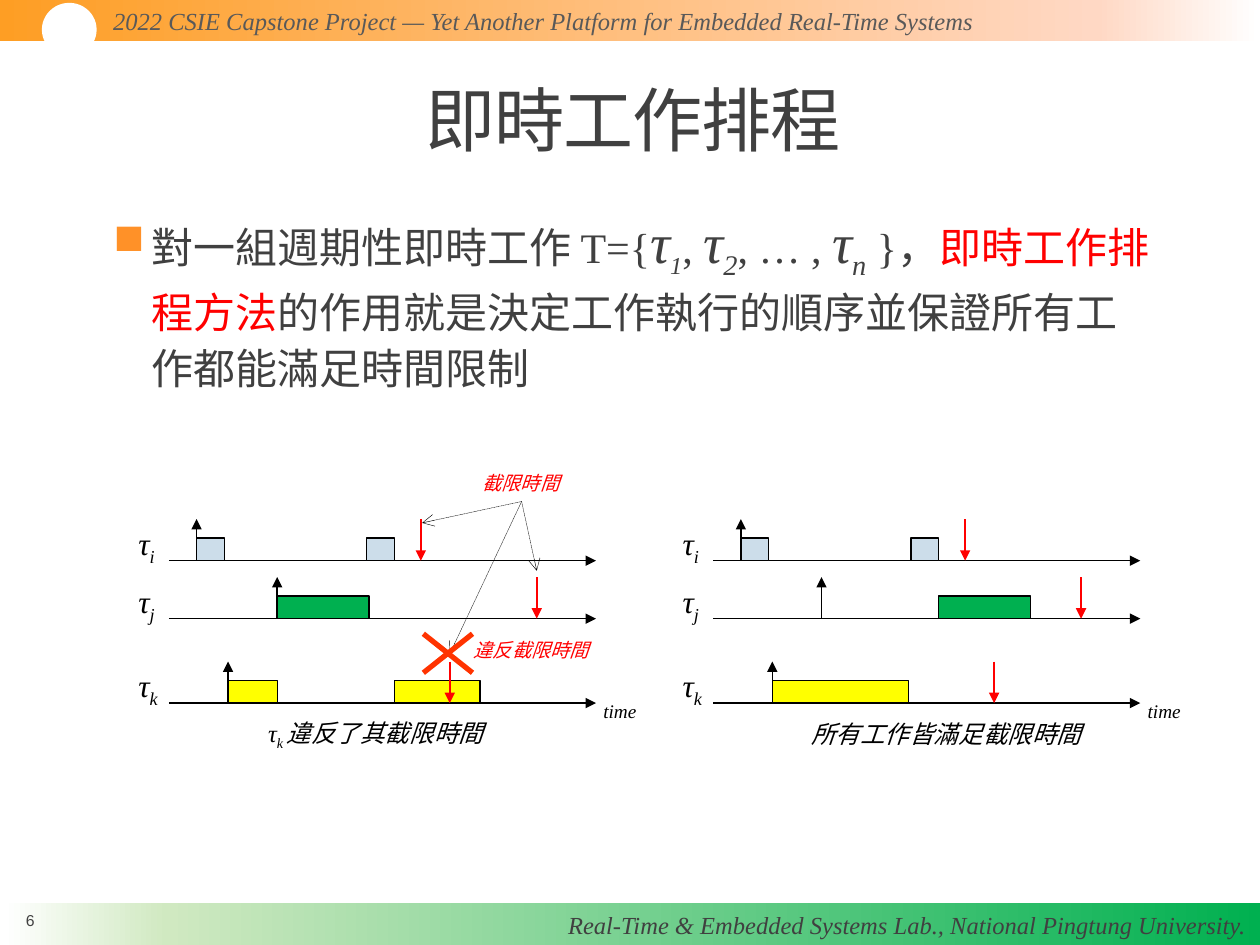
"""Build the slide on real-time task scheduling."""
from pptx import Presentation
from pptx.dml.color import RGBColor
from pptx.enum.dml import MSO_LINE
from pptx.enum.shapes import MSO_CONNECTOR, MSO_SHAPE as SHAPE
from pptx.enum.text import MSO_ANCHOR as ANCHOR, PP_ALIGN as ALIGN
from pptx.oxml.ns import qn
from pptx.util import Inches, Pt
from lxml.etree import SubElement

W, H = 10, 7.5
SERIF, CJK = "Times New Roman", "Noto Sans CJK SC"
BLACK, GREY, RED, WHITE = "000000", "404040", "FF0000", "FFFFFF"
BLUE, GREEN, YELLOW = "CCDDEA", "00B050", "FFFF00"

BANDS = [
    (0.03, 7.17, 9.97, [(0, WHITE), (13, "D0E9C1"), (100, GREEN)]),
    (0, 0, 10, [(0, "FE9E24"), (87, "FFD8C4"), (100, WHITE)]),
]
HEADER = "2022 CSIE Capstone Project — Yet Another Platform for Embedded Real-Time Systems"
FOOTER = "Real-Time & Embedded Systems Lab., National Pingtung University."
TAU = ("τ", dict(size=32, italic=True))
BODY = [
    ("對一組週期性即時工作 T={", {}),
    TAU, ("1", dict(italic=True, sub=True)), (", ", {}),
    TAU, ("2", dict(size=28, italic=True, sub=True)), (", … , ", {}),
    TAU, ("n", dict(size=28, italic=True, sub=True)), (" }，", {}),
    ("即時工作排程方法", dict(color=RED)),
    ("的作用就是決定工作執行的順序並保證所有工作都能滿足時間限制", {}),
]

# name, axis height, bar colour, release, deadline
TASKS = [
    ("i", 4.45, BLUE, 0.22, 2.0),
    ("j", 4.91, GREEN, 0.86, 2.92),
    ("k", 5.58, YELLOW, 0.47, 2.23),
]
# axis start, then (offset, width) of each task's bars
CHARTS = [
    (1.34, dict(i=[(0.22, 0.22), (1.57, 0.22)], j=[(0.86, 0.73)],
                k=[(0.47, 0.39), (1.79, 0.68)])),
    (5.66, dict(i=[(0.22, 0.22), (1.57, 0.22)], j=[(1.79, 0.73)],
                k=[(0.47, 1.08)])),
]
AXIS, BAR, ARROW = 3.39, 0.18, 0.33
NOTES = [
    ("截限時間", 3.73, 3.69, 0.82, 11, RED),
    ("違反截限時間", 3.66, 5.02, 1.13, 11, RED),
    ("所有工作皆滿足截限時間", 6.34, 5.66, 2.36, 14, BLACK),
]
CAPTION = [("τ", {}), ("k ", dict(sub=True)), ("違反了其截限時間", {})]
POINTER, TARGETS = (4.14, 3.98), [(3.35, 4.15), (4.26, 4.53), (3.57, 5.19)]
CROSS = (3.36, 5.03, 3.75, 5.34)


def rgb(value):
    return RGBColor.from_string(value)


def add_run(p, text, size=24, color=GREY, font=SERIF, italic=False, sub=False):
    r = p.add_run()
    r.text = text
    r.font.size, r.font.name, r.font.italic = Pt(size), font, italic
    r.font.color.rgb = rgb(color)
    rPr = r._r.get_or_add_rPr()
    SubElement(rPr, qn("a:ea")).set("typeface", CJK)
    if sub:
        rPr.set("baseline", "-25000")
    return r


def add_text(s, parts, x, y, w, h, align=ALIGN.LEFT, anchor=ANCHOR.TOP, **fmt):
    """Add a text box; parts is a string or a list of (text, format) pairs."""
    tf = s.shapes.add_textbox(*map(Inches, (x, y, w, h))).text_frame
    tf.word_wrap, tf.vertical_anchor = True, anchor
    p = tf.paragraphs[0]
    p.alignment = align
    for text, extra in [(parts, {})] if isinstance(parts, str) else parts:
        add_run(p, text, **{**fmt, **extra})
    return tf


def add_box(s, kind, x, y, w, h, fill, line=None, width=0.75):
    sp = s.shapes.add_shape(kind, *map(Inches, (x, y, w, h)))
    sp.shadow.inherit = False
    if isinstance(fill, str):
        sp.fill.solid()
        sp.fill.fore_color.rgb = rgb(fill)
    else:
        sp.fill.gradient()
        sp.fill.gradient_angle = 0
        stops = sp._element.spPr.find(qn("a:gradFill")).find(qn("a:gsLst"))
        stops[:] = []
        for pos, color in fill:
            gs = SubElement(stops, qn("a:gs"), pos=str(pos * 1000))
            SubElement(gs, qn("a:srgbClr"), val=color)
    if line:
        sp.line.color.rgb, sp.line.width = rgb(line), Pt(width)
    else:
        sp.line.fill.background()


def add_line(s, x1, y1, x2, y2, color=BLACK, width=1, head="triangle", dash=None):
    sp = s.shapes.add_connector(MSO_CONNECTOR.STRAIGHT, *map(Inches, (x1, y1, x2, y2)))
    sp.line.color.rgb, sp.line.width = rgb(color), Pt(width)
    if dash:
        sp.line.dash_style = dash
    if head:
        SubElement(sp.line._get_or_add_ln(), qn("a:tailEnd"), type=head)
    SubElement(sp._element.spPr, qn("a:effectLst"))


def add_frame(s):
    for x, y, w, stops in BANDS:
        add_box(s, SHAPE.RECTANGLE, x, y, w, 0.33, stops)
    add_text(s, HEADER, 0.8, 0, 8.63, 0.34, size=14, color="595959", italic=True)
    add_text(s, FOOTER, 0.8, 7.17, 9.19, 0.34, align=ALIGN.RIGHT, size=14, italic=True)
    add_box(s, SHAPE.OVAL, 0.35, 0.04, 0.4, 0.39, WHITE, WHITE, 2.5)
    add_text(s, "6", 0, 7.1, 0.48, 0.4, align=ALIGN.CENTER, anchor=ANCHOR.MIDDLE,
             size=9, font="Arial", color="424242")


def add_title(s):
    sp = s.shapes.title
    sp.left, sp.top, sp.width, sp.height = map(Inches, (0.9, 0.58, 8.25, 0.82))
    tf = sp.text_frame
    tf.vertical_anchor = ANCHOR.MIDDLE
    p = tf.paragraphs[0]
    p.alignment, p.line_spacing = ALIGN.CENTER, 0.85
    r = add_run(p, "即時工作排程", size=40, font=CJK)
    r._r.get_or_add_rPr().set("spc", "-50")


def add_body(s):
    tf = add_text(s, BODY, 0.9, 1.54, 8.25, 2.12)
    tf.margin_left = tf.margin_right = 0
    p = tf.paragraphs[0]
    p.line_spacing, p.space_after = 1.1, Pt(2)
    pPr = p._p.get_or_add_pPr()
    pPr.set("marL", str(Inches(0.3)))
    pPr.set("indent", str(-Inches(0.3)))
    SubElement(SubElement(pPr, qn("a:buClr")), qn("a:srgbClr"), val="FF9128")
    SubElement(pPr, qn("a:buChar"), char="■")


def add_timeline(s, x, bars):
    for name, y, color, release, deadline in TASKS:
        add_line(s, x, y, x + AXIS, y, width=0.75)
        add_text(s, [("τ", {}), (name, dict(sub=True))], x - 0.34, y - 0.34, 0.47, 0.4,
                 size=18, color=BLACK, italic=True)
        for offset, w in bars[name]:
            add_box(s, SHAPE.RECTANGLE, x + offset, y - BAR, w, BAR, color, BLACK)
        add_line(s, x + deadline, y - ARROW, x + deadline, y, RED)
        add_line(s, x + release, y, x + release, y - ARROW)
    add_text(s, "time", x + 3.35, 5.5, 0.47, 0.29, size=11, color=BLACK, italic=True)


def add_notes(s):
    for text, x, y, w, size, color in NOTES:
        add_text(s, text, x, y, w, 0.3, size=size, color=color, italic=True)
    add_text(s, CAPTION, 2.03, 5.65, 1.93, 0.34, size=14, color=BLACK, italic=True)
    for target in TARGETS:
        add_line(s, *POINTER, *target, width=0.25, head="arrow", dash=MSO_LINE.ROUND_DOT)
    left, top, right, bottom = CROSS
    for y1, y2 in ((top, bottom), (bottom, top)):
        add_line(s, left, y1, right, y2, "FF3300", 3, head=None)


def main():
    prs = Presentation()
    prs.slide_width, prs.slide_height = Inches(W), Inches(H)
    s = prs.slides.add_slide(prs.slide_layouts[5])
    add_frame(s)
    add_title(s)
    add_body(s)
    for x, bars in CHARTS:
        add_timeline(s, x, bars)
    add_notes(s)
    prs.save("out.pptx")


if __name__ == "__main__":
    main()
